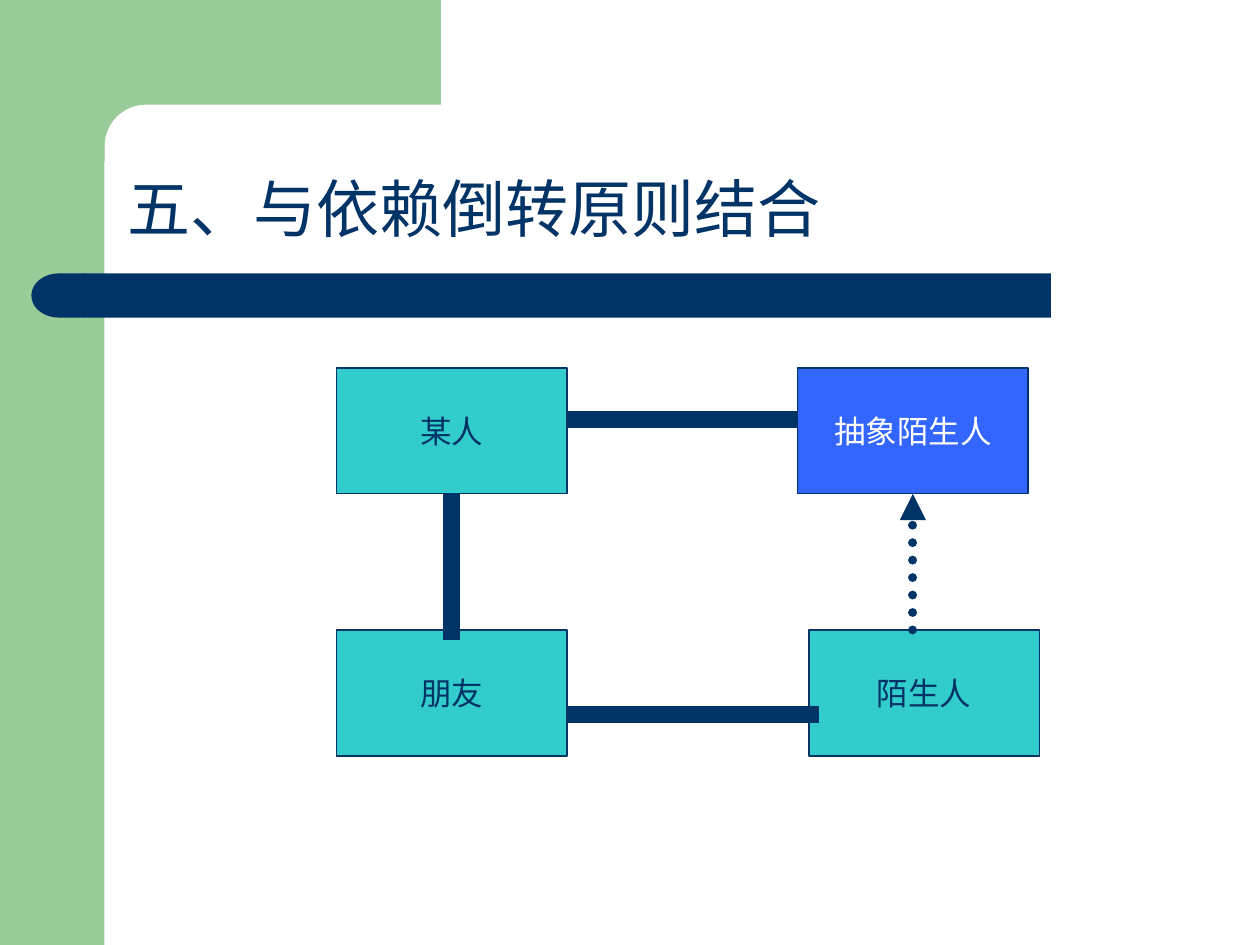
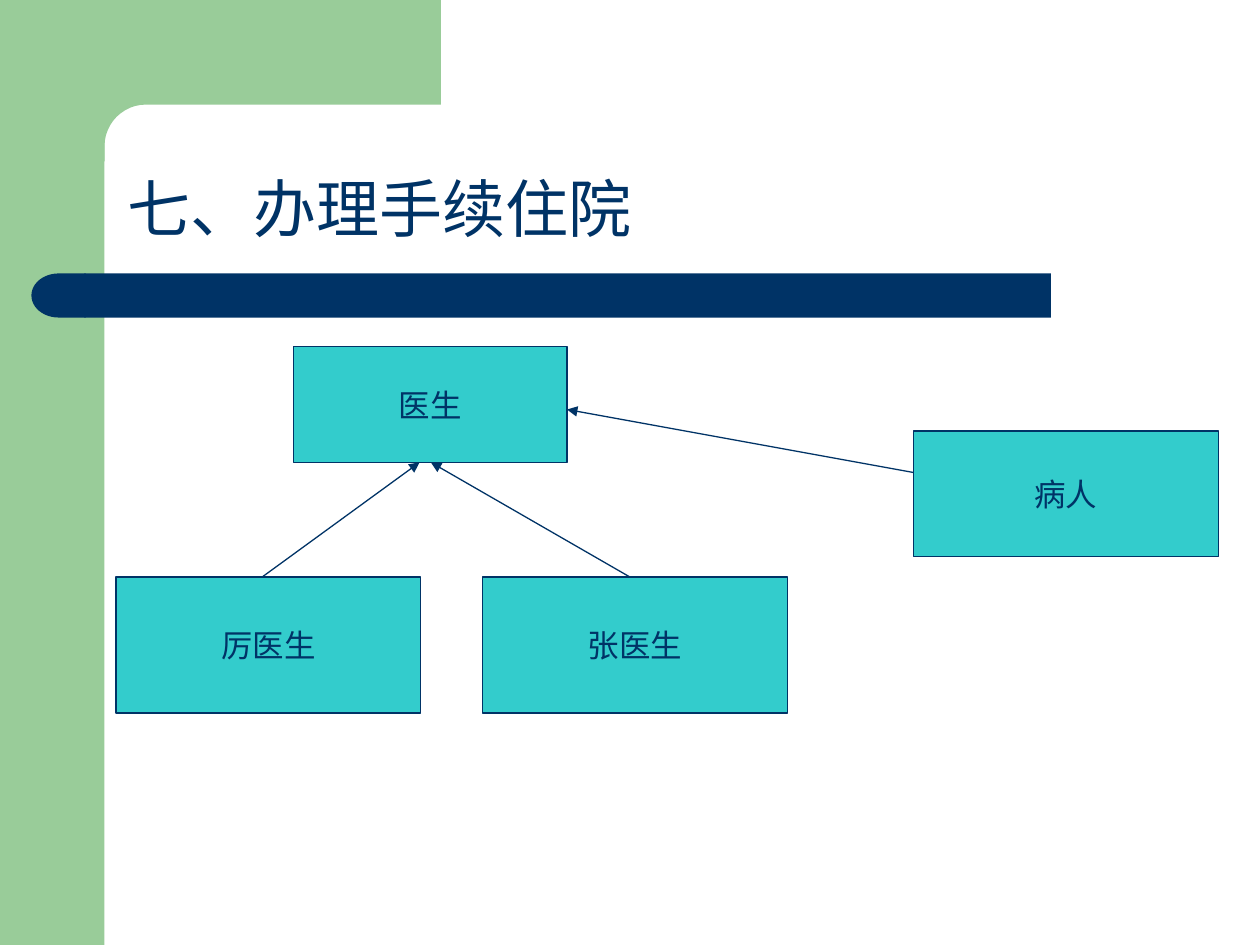
import math

from lxml import etree
from pptx import Presentation
from pptx.dml.color import RGBColor
from pptx.enum.dml import MSO_LINE
from pptx.enum.shapes import MSO_CONNECTOR, MSO_SHAPE
from pptx.enum.text import MSO_ANCHOR, PP_ALIGN
from pptx.oxml.ns import qn
from pptx.util import Inches, Pt

RECTANGLE, DELAY = MSO_SHAPE.RECTANGLE, MSO_SHAPE.FLOWCHART_DELAY
ROUNDED = MSO_SHAPE.ROUNDED_RECTANGLE
STRAIGHT, DOTTED = MSO_CONNECTOR.STRAIGHT, MSO_LINE.ROUND_DOT
CENTER, LEFT = PP_ALIGN.CENTER, PP_ALIGN.LEFT
MIDDLE, BOTTOM = MSO_ANCHOR.MIDDLE, MSO_ANCHOR.BOTTOM

COLORS = {"navy": "003366", "green": "99CC99", "teal": "33CCCC",
          "blue": "3366FF", "white": "FFFFFF"}
FONT = "Arial"
THIN, THICK = 0.75, 10


def color(name):
    return RGBColor.from_string(COLORS[name])


def paint(shape, fill, line=None):
    shape.shadow.inherit = False
    shape.fill.solid()
    shape.fill.fore_color.rgb = color(fill)
    if line:
        shape.line.color.rgb = color(line)
        shape.line.width = Pt(THIN)
    else:
        shape.line.fill.background()


def add_block(slide, kind, box, fill, line=None):
    shape = slide.shapes.add_shape(kind, *map(Inches, box))
    paint(shape, fill, line)
    return shape


def write(shape, text, size, ink, align, anchor, wrap):
    frame = shape.text_frame
    frame.word_wrap = wrap
    frame.vertical_anchor = anchor
    paragraph = frame.paragraphs[0]
    paragraph.alignment = align
    run = paragraph.add_run()
    run.text = text
    run.font.size = Pt(size)
    run.font.name = FONT
    run.font.color.rgb = color(ink)
    return paragraph


def add_corner(slide, box, band, radius):
    """Top band whose inner corner is rounded into the side band."""
    left, top, width, height = box
    side = left + 0.33
    center_x, center_y = side + radius, top + band + radius
    angles = [math.radians(step * 7.5) for step in range(13)]
    arc = [(center_x - radius * math.sin(angle),
            center_y - radius * math.cos(angle)) for angle in angles]
    outline = [(left + width, top), (left + width, top + band), *arc,
               (side, top + height), (left, top + height), (left, top)]
    points = [(Inches(x), Inches(y)) for x, y in outline]
    builder = slide.shapes.build_freeform(*points[0])
    builder.add_line_segments(points[1:], close=True)
    paint(builder.convert_to_shape(), "green")


def add_title_bar(slide, box):
    """Navy bar with a round cap at its left end."""
    left, top, width, height = box
    cap = 0.42
    add_block(slide, ROUNDED, (left + cap, top, width - cap, height),
              "navy").adjustments[0] = 0
    end = add_block(slide, DELAY, (left, top, cap + 0.01, height), "navy")
    end.element.spPr.find(qn("a:xfrm")).set("flipH", "1")


def add_frame(presentation, title):
    """New slide with the shared bands and title."""
    slide = presentation.slides.add_slide(presentation.slide_layouts[6])
    add_block(slide, RECTANGLE, (0, 0, 0.83, 7.5), "green")
    add_corner(slide, (0.5, 0, 3, 1.28), 0.83, 0.33)
    add_title_bar(slide, (0.25, 2.17, 8.09, 0.35))
    box = slide.shapes.add_textbox(*map(Inches, (0.91, 0.91, 8.51, 1.09)))
    paragraph = write(box, title, 36, "navy", LEFT, BOTTOM, True)
    paragraph.line_spacing = 0.9
    return slide


def add_node(slide, text, box, fill="teal", ink="navy"):
    shape = add_block(slide, RECTANGLE, box, fill, "navy")
    write(shape, text, 18, ink, CENTER, MIDDLE, False)


def add_link(slide, start, end, width, arrow=False, dotted=False):
    connector = slide.shapes.add_connector(
        STRAIGHT, *map(Inches, (*start, *end)))
    connector.line.color.rgb = color("navy")
    connector.line.width = Pt(width)
    line = connector.line._get_or_add_ln()
    if dotted:
        connector.line.dash_style = DOTTED
        line.set("cap", "rnd")
    if arrow:
        etree.SubElement(line, qn("a:tailEnd"), type="triangle")
    etree.SubElement(connector.element.spPr, qn("a:effectLst"))


def add_stranger_diagram(slide, box):
    """Two rows of two nodes, joined around the outside."""
    left, top, width, height = box
    node_width, node_height = 1.83, 1
    lower = top + height - node_height
    abstract_left = left + 3.66
    inner = left + node_width
    middle = left + node_width / 2
    upper_end = top + node_height
    size = (node_width, node_height)

    add_node(slide, "某人", (left, top, *size))
    add_node(slide, "朋友", (left, lower, *size))
    add_node(slide, "陌生人", (left + width - node_width, lower, *size))
    add_link(slide, (middle, upper_end), (middle, lower + 0.08), THICK)
    add_link(slide, (inner, lower + 0.67), (inner + 2, lower + 0.67), THICK)
    add_node(slide, "抽象陌生人", (abstract_left, top, *size), "blue", "white")
    add_link(slide, (inner, top + 0.41), (abstract_left, top + 0.41), THICK)
    arrow_x = abstract_left + node_width / 2
    add_link(slide, (arrow_x, lower), (arrow_x, upper_end), 5,
             arrow=True, dotted=True)


def add_doctor_diagram(slide, box):
    """Doctor on top, two doctors below, the patient on the right."""
    left, top, width, height = box
    node_width, low_height = 2.42, 1.08
    lower = top + height - low_height
    patient_left, patient_top = left + width - node_width, top + 0.67
    doctor = (left + 1.41, top, 2.17, 0.92)
    doctor_right, doctor_bottom = doctor[0] + doctor[2], top + doctor[3]

    add_node(slide, "病人", (patient_left, patient_top, node_width, 1))
    for index, name in enumerate(("厉医生", "张医生")):
        add_node(slide, name,
                 (left + index * 2.91, lower, node_width, low_height))
    add_node(slide, "医生", doctor)

    arrows = [((left + 1.16, lower), (left + 2.41, doctor_bottom)),
              ((left + 4.08, lower), (left + 2.5, doctor_bottom)),
              ((patient_left, top + 1), (doctor_right, top + 0.5))]
    for start, end in arrows:
        add_link(slide, start, end, THIN, arrow=True)


presentation = Presentation()
presentation.slide_width = Inches(10)
presentation.slide_height = Inches(7.5)

slide = add_frame(presentation, "五、与依赖倒转原则结合")
add_stranger_diagram(slide, (2.67, 2.92, 5.58, 3.08))

slide = add_frame(presentation, "七、办理手续住院")
add_doctor_diagram(slide, (0.92, 2.75, 8.75, 2.91))

presentation.save("out.pptx")
